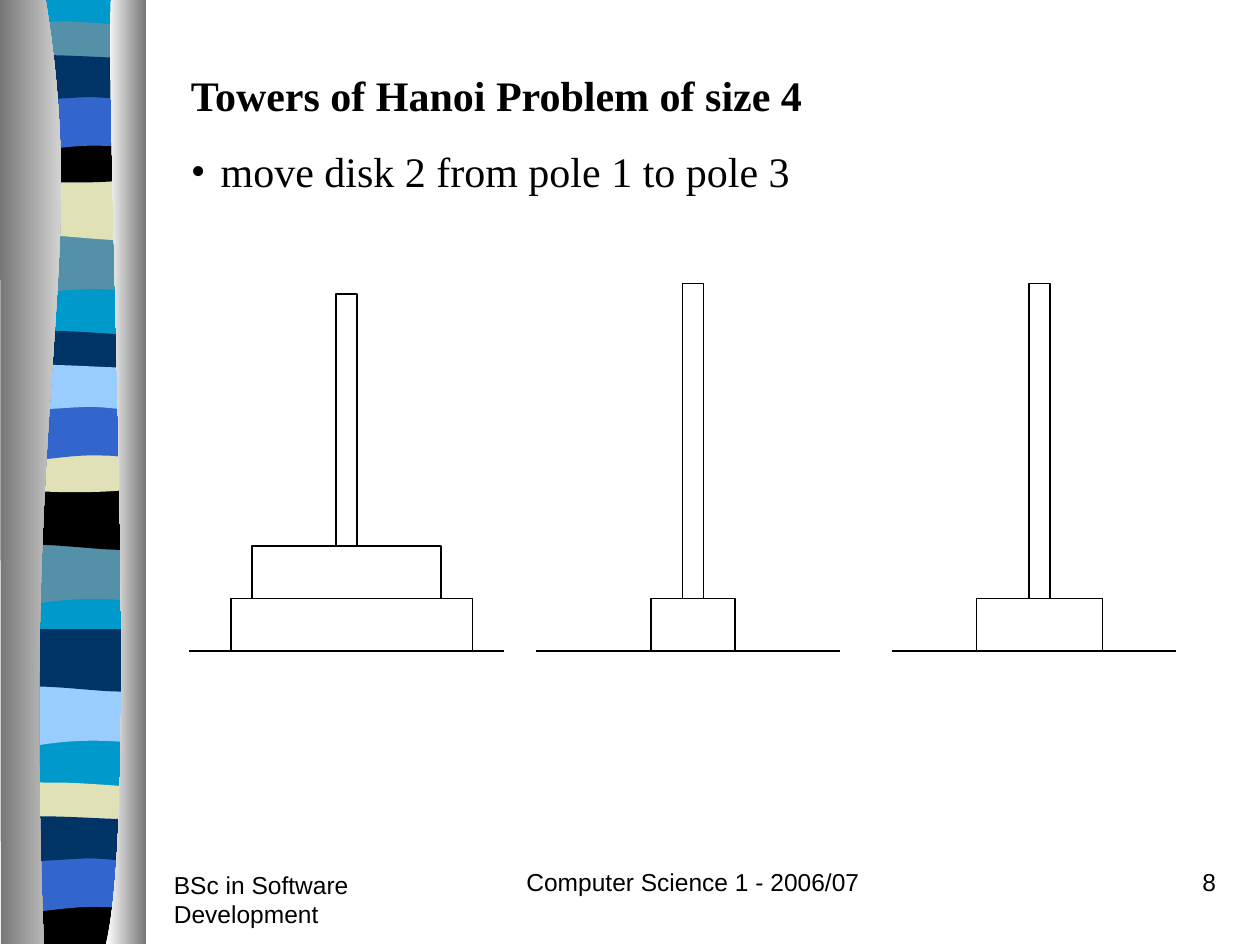
from pptx import Presentation
from pptx.dml.color import RGBColor
from pptx.enum import shapes, text
from pptx.oxml import xmlchemy
from pptx.util import Pt

COLORS = {
    "black": "000000", "white": "FFFFFF", "grey": "767676",
    "sky": "0099CC", "teal": "5490A8", "sand": "E1E1B7", "blue": "3366CC",
    "navy": "003366", "pale": "99CCFF",
}

BANDS = {
    "deep_wave": (133, [(78, 0), (78, 34), (24, 28, 13, 40, 0, 34), (0, 0)]),
    "soft_wave": (101.5, [(78, 0), (78, 34), (65, 39.5, 24, 29.5, 0, 34), (0, 0)]),
    "thin": (11.5, [(78, 3.5), (78, 21), (65, 24, 13, 24, 0, 21), (0, 3.5),
                    (4.5, 0, 17, 0.7, 29.5, 0.7), (42.5, 0.7, 68, 3, 78, 3.5)]),
    "bowl": (77.8, [(78, 0), (78, 23.5), (65, 27.5, 13, 27.5, 0, 23.5), (0, 0),
                    (47.5, 3.5, 61, 0, 78, 0)]),
    "floor": (77.8, [(78, 0), (78, 26.5), (0, 26.5), (0, 0), (47.5, 3.5, 61, 0, 78, 0)]),
    "arch": (53.3, [(78, 0), (78, 34), (65.5, 30, 60.5, 30, 47.5, 30),
                    (34.5, 30, 11.5, 34, 0, 34), (0, 0)]),
    "ripple": (29.5, [(78, 3.5), (78, 26), (73, 29.5, 60.5, 26, 47.5, 26),
                      (34.5, 26, 8, 29.5, 0, 26), (0, 3.5),
                      (11, 0, 52.5, 3.5, 65.5, 3.5), (78.5, 3.5, 75, 3.5, 78, 3.5)]),
}
BAND_GROUPS = [
    (0, {"deep_wave": "teal", "soft_wave": "sand", "thin": "teal",
         "bowl": "black", "arch": "blue", "ripple": "navy"}),
    (177, {"deep_wave": "teal", "soft_wave": "black", "thin": "navy",
           "bowl": "sand", "arch": "blue", "ripple": "pale"}),
    (258, {"deep_wave": "pale", "soft_wave": "navy"}),
    (435, {"thin": "sand", "floor": "black", "arch": "blue", "ripple": "navy"}),
]
LEFT_EDGE = [(26, 0), (51.5, 156, 12, 213, 25, 540), (0.5, 540), (0, 0)]
RIGHT_EDGE = [(63.5, 0), (60.5, 90, 80, 465, 60.5, 540), (83.5, 540), (83.5, 0)]


def color(name):
    return RGBColor.from_string(COLORS[name])


def bend_curves(shape, outline):
    segments = iter(shape._element.xpath(".//a:path/a:lnTo"))
    for step in outline[1:]:
        run = [next(segments) for _ in range(len(step) // 2)]
        if len(run) == 3:
            curve = xmlchemy.OxmlElement("a:cubicBezTo")
            run[0].addprevious(curve)
            for segment in run:
                curve.append(segment[0])
                segment.getparent().remove(segment)


def add_outline(slide, left, top, outline, fill):
    points = [(Pt(left + step[i]), Pt(top + step[i + 1]))
              for step in outline for i in range(0, len(step), 2)]
    builder = slide.shapes.build_freeform(*points[0], scale=1.0)
    builder.add_line_segments(points[1:], close=True)
    shape = builder.convert_to_shape()
    bend_curves(shape, outline)
    shape.shadow.inherit = False
    shape.line.fill.background()
    if isinstance(fill, tuple):
        shape.fill.gradient()
        shape.fill.gradient_angle = 0
        for stop, name in zip(shape.fill.gradient_stops, fill):
            stop.color.rgb = color(name)
    else:
        shape.fill.solid()
        shape.fill.fore_color.rgb = color(fill)


def add_ribbon(slide, left, top, height):
    bands_left = left + 4
    add_outline(slide, bands_left, top, [(78, 0), (78, height), (0, height), (0, 0)], "sky")
    for offset, group in BAND_GROUPS:
        for name, fill in group.items():
            band_top, outline = BANDS[name]
            add_outline(slide, bands_left, top + offset + band_top, outline, fill)
    add_outline(slide, left, top - 0.5, LEFT_EDGE, ("grey", "white"))
    add_outline(slide, left, top - 0.5, RIGHT_EDGE, ("white", "grey"))


def add_bullet(paragraph, font):
    properties = paragraph._p.get_or_add_pPr()
    properties.set("marL", str(Pt(17)))
    properties.set("indent", str(-Pt(17)))
    for tag, key, value in (("a:buFont", "typeface", font), ("a:buChar", "char", "•")):
        element = xmlchemy.OxmlElement(tag)
        element.set(key, value)
        properties.append(element)


def add_text(slide, box, lines, size, font, space, align=text.PP_ALIGN.LEFT):
    frame = slide.shapes.add_textbox(*map(Pt, box)).text_frame
    frame.word_wrap = True
    for i, (words, bold, bullet) in enumerate(lines):
        paragraph = frame.add_paragraph() if i else frame.paragraphs[0]
        paragraph.alignment = align
        paragraph.space_before = Pt(space)
        if bullet:
            add_bullet(paragraph, font)
        run = paragraph.add_run()
        run.text = words
        run.font.size = Pt(size)
        run.font.name = font
        run.font.bold = bold
        run.font.color.rgb = color("black")


def add_footer(slide, left, top, height):
    parts = [
        (0, 1.5, 150, "BSc in Software Development", text.PP_ALIGN.LEFT),
        (189.7, 0, 228, "Computer Science 1 - 2006/07", text.PP_ALIGN.CENTER),
        (459.7, 0, 150, "8", text.PP_ALIGN.RIGHT),
    ]
    for x, y, width, words, align in parts:
        add_text(slide, (left + x, top + y, width, height),
                 [(words, False, False)], 14, "Arial", 8.8, align)


def add_block(slide, left, top, width, height, filled=True):
    shape = slide.shapes.add_shape(
        shapes.MSO_SHAPE.RECTANGLE, Pt(left), Pt(top), Pt(width), Pt(height))
    shape.shadow.inherit = False
    shape.line.color.rgb = color("black")
    shape.line.width = Pt(0.75)
    if filled:
        shape.fill.solid()
        shape.fill.fore_color.rgb = color("white")
    else:
        shape.fill.background()


def add_tower(slide, left, top, width, height, pole_center, disks, pole_filled=True):
    disk_height, pole_width = 30, 12
    ground = top + height
    line = slide.shapes.add_connector(
        shapes.MSO_CONNECTOR.STRAIGHT, Pt(left), Pt(ground), Pt(left + width), Pt(ground))
    line.line.color.rgb = color("black")
    line.line.width = Pt(0.75)
    line._element.spPr.append(xmlchemy.OxmlElement("a:effectLst"))
    for level, (disk_left, disk_width) in enumerate(disks, 1):
        add_block(slide, disk_left, ground - level * disk_height, disk_width, disk_height)
    add_block(slide, pole_center - pole_width / 2, top, pole_width,
              height - len(disks) * disk_height, pole_filled)


def main():
    presentation = Presentation()
    presentation.slide_width, presentation.slide_height = Pt(720), Pt(540)
    slide = presentation.slides.add_slide(presentation.slide_layouts[6])
    add_ribbon(slide, 0, 0, 538)
    add_footer(slide, 92.3, 492, 36)
    add_text(slide, (102, 36, 564, 518), [
        ("Towers of Hanoi Problem of size 4", True, False),
        ("move disk 2 from pole 1 to pole 3", False, True),
    ], 24, "Times New Roman", 15)
    add_tower(slide, 108, 168, 180, 204, 198, [(132, 138), (144, 108)], False)
    add_tower(slide, 306, 162, 174, 210, 396, [(372, 48)])
    add_tower(slide, 510, 162, 162, 210, 594, [(558, 72)])
    presentation.save("out.pptx")


if __name__ == "__main__":
    main()
